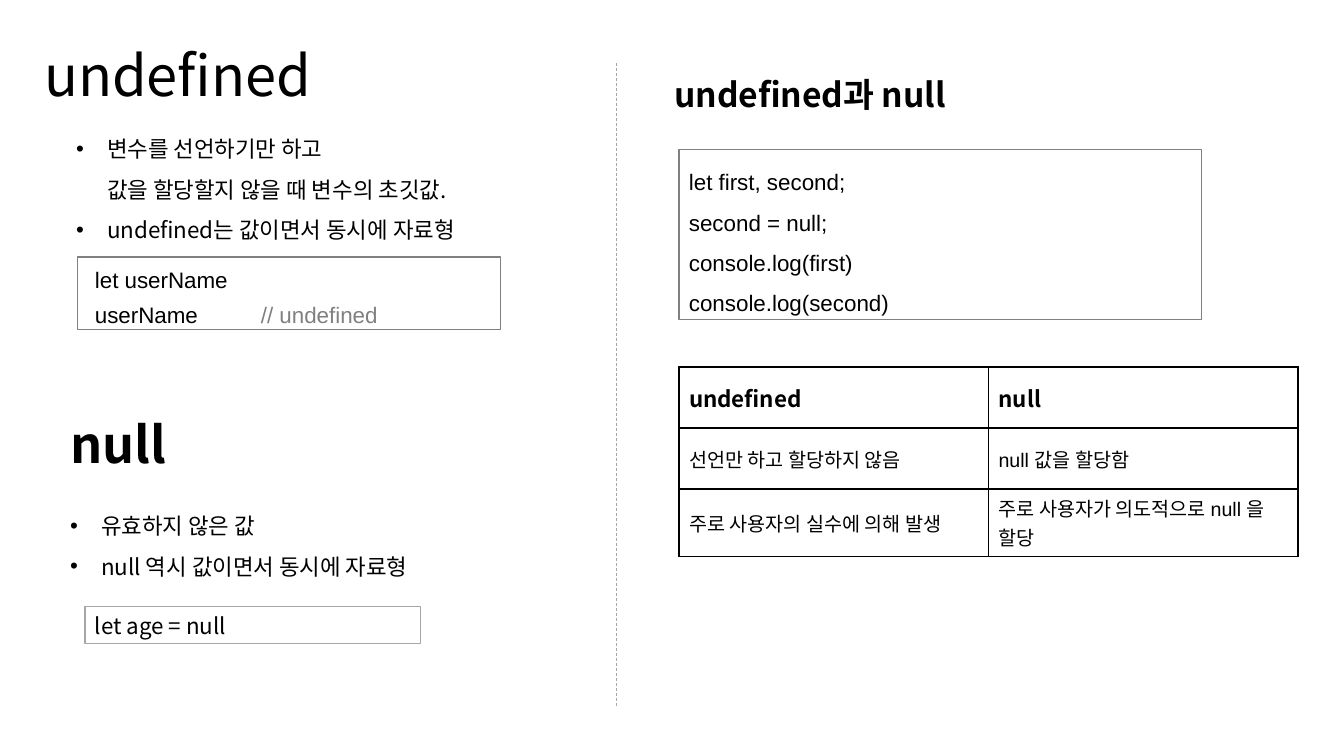
from lxml import etree
from pptx import Presentation
from pptx import util as u
from pptx.dml.color import RGBColor
from pptx.enum import dml, shapes, text
from pptx.oxml import ns

PX = 914400 / 100.8  # EMU in one px
BLACK = RGBColor(0x00, 0x00, 0x00)
GRAY = RGBColor(0x80, 0x80, 0x80)
LIGHT_GRAY = RGBColor(0xA6, 0xA6, 0xA6)
NOTO = "Noto Sans CJK KR"
ARIAL = "Arial"


def px(n):
    return u.Emu(round(n * PX))


def sub(parent, tag, **attrs):
    return etree.SubElement(parent, ns.qn(tag), {k: str(v) for k, v in attrs.items()})


def place(sp, box):
    sp.left, sp.top, sp.width, sp.height = (px(n) for n in box)


def frame(sp, anchor=text.MSO_ANCHOR.TOP):
    tf = sp.text_frame
    tf.word_wrap = True
    tf.auto_size = text.MSO_AUTO_SIZE.NONE
    tf.vertical_anchor = anchor
    return tf


def paragraphs(tf, count):
    """Yield count left-aligned paragraphs without spacing around them."""
    for i in range(count):
        p = tf.add_paragraph() if i else tf.paragraphs[0]
        p.alignment = text.PP_ALIGN.LEFT
        p.space_before = p.space_after = u.Pt(0)
        yield p


def add_run(p, words, size, font=NOTO, color=BLACK, bold=False):
    r = p.add_run()
    r.text = words
    r.font.size = u.Pt(size)
    r.font.bold = bold
    r.font.color.rgb = color
    r.font.name = font
    sub(r.font._element, "a:ea", typeface=NOTO)


def heading(sp, box, words, size, bold=True, anchor=text.MSO_ANCHOR.TOP, spacing=1.0):
    place(sp, box)
    p = next(paragraphs(frame(sp, anchor), 1))
    p.line_spacing = spacing
    add_run(p, words, size, bold=bold)


def bullet_list(sp, box, items):
    """Each item is a list of lines, split by line breaks."""
    place(sp, box)
    for p, lines in zip(paragraphs(frame(sp), len(items)), items):
        p.line_spacing = 1.5
        pPr = p._p.get_or_add_pPr()
        pPr.set("marL", str(px(31)))
        pPr.set("indent", str(px(-31)))
        sub(pPr, "a:buChar", char="•")
        for i, line in enumerate(lines):
            if i:
                p.add_line_break()
            add_run(p, line, 16)


def code_box(s, box, lines, font=ARIAL, color=GRAY, spacing=1.0, gap=0, indent=0, tab=0):
    """Each line is a list of (words, colour) runs."""
    sp = s.shapes.add_shape(shapes.MSO_SHAPE.RECTANGLE, *(px(n) for n in box))
    sp.shadow.inherit = False
    sp.fill.background()
    sp.line.color.rgb = color
    sp.line.width = u.Pt(0.75)
    tf = frame(sp)
    tf.margin_top = u.Pt(3.6 + gap / 2)
    for i, (p, runs) in enumerate(zip(paragraphs(tf, len(lines)), lines)):
        p.line_spacing = spacing
        p.space_before = u.Pt(gap if i else 0)
        pPr = p._p.get_or_add_pPr()
        pPr.set("marL", str(px(indent)))
        if tab:
            sub(sub(pPr, "a:tabLst"), "a:tab", pos=px(tab), algn="l")
        for words, run_color in runs:
            add_run(p, words, 16, font, run_color)


def border(cell):
    tcPr = cell._tc.get_or_add_tcPr()
    for i, side in enumerate(("a:lnL", "a:lnR", "a:lnT", "a:lnB")):
        ln = sub(tcPr, side, w=u.Pt(1))
        sub(sub(ln, "a:solidFill"), "a:srgbClr", val=BLACK)
        tcPr.insert(i, ln)


def comparison_table(s, box, heights, rows):
    table = s.shapes.add_table(len(rows), len(rows[0]), *(px(n) for n in box)).table
    table.first_row = table.horz_banding = False
    for i, (height, row) in enumerate(zip(heights, rows)):
        table.rows[i].height = px(height)
        for j, words in enumerate(row):
            cell = table.cell(i, j)
            cell.fill.background()
            border(cell)
            cell.vertical_anchor = text.MSO_ANCHOR.MIDDLE
            p = next(paragraphs(cell.text_frame, 1))
            if i == 0:
                add_run(p, words, 16, bold=True)
            else:
                add_run(p, words, 14, ARIAL)


def divider(s, x, top, bottom):
    line = s.shapes.add_connector(shapes.MSO_CONNECTOR.STRAIGHT,
                                  px(x), px(top), px(x), px(bottom))
    line.line.color.rgb = LIGHT_GRAY
    line.line.width = u.Pt(0.5)
    line.line.dash_style = dml.MSO_LINE.DASH
    sub(line._element.spPr, "a:effectLst")


def undefined_region(s, x, y, title, body):
    heading(title, (x, y, 361, 78), "undefined", 40, bold=False)
    bullet_list(body, (x + 32, y + 82, 436, 127), [
        ["변수를 선언하기만 하고", "값을 할당할지 않을 때 변수의 초깃값."],
        ["undefined는 값이면서 동시에 자료형"],
    ])
    code_box(s, (x + 44, y + 222, 423, 73), [
        [("let userName", BLACK)],
        [("userName\t", BLACK), ("// undefined", GRAY)],
    ], gap=6, indent=7, tab=166)


def null_region(s, x, y, title, body):
    heading(title, (x, y, 447, 93), "null", 36,
            anchor=text.MSO_ANCHOR.MIDDLE, spacing=0.9)
    bullet_list(body, (x, y + 93, 487, 87), [
        ["유효하지 않은 값"],
        ["null 역시 값이면서 동시에 자료형"],
    ])
    code_box(s, (x + 25, y + 206, 336, 37), [[("let age = null", BLACK)]],
             font=NOTO, color=LIGHT_GRAY)


def comparison_region(s, x, y, title):
    heading(title, (x, y, 494, 50), "undefined과 null", 24)
    code = ("let first, second;", "second = null;",
            "console.log(first)", "console.log(second)")
    code_box(s, (x + 15, y + 81, 523, 170), [[(line, BLACK)] for line in code],
             spacing=1.5)
    comparison_table(s, (x + 15, y + 298, 619, 188), (61, 61, 66), [
        ("undefined", "null"),
        ("선언만 하고 할당하지 않음", "null 값을 할당함"),
        ("주로 사용자의 실수에 의해 발생", "주로 사용자가 의도적으로 null 을 할당"),
    ])


def main():
    prs = Presentation()
    prs.slide_width, prs.slide_height = px(1344), px(756)
    s = prs.slides.add_slide(prs.slide_layouts.get_by_name("Comparison"))
    ph = {sp.placeholder_format.idx: sp for sp in s.placeholders}
    undefined_region(s, 34, 35, ph[0], ph[2])
    null_region(s, 60, 401, ph[1], ph[4])
    divider(s, 616, 63, 706)
    comparison_region(s, 664, 69, ph[3])
    prs.save("out.pptx")


if __name__ == "__main__":
    main()
